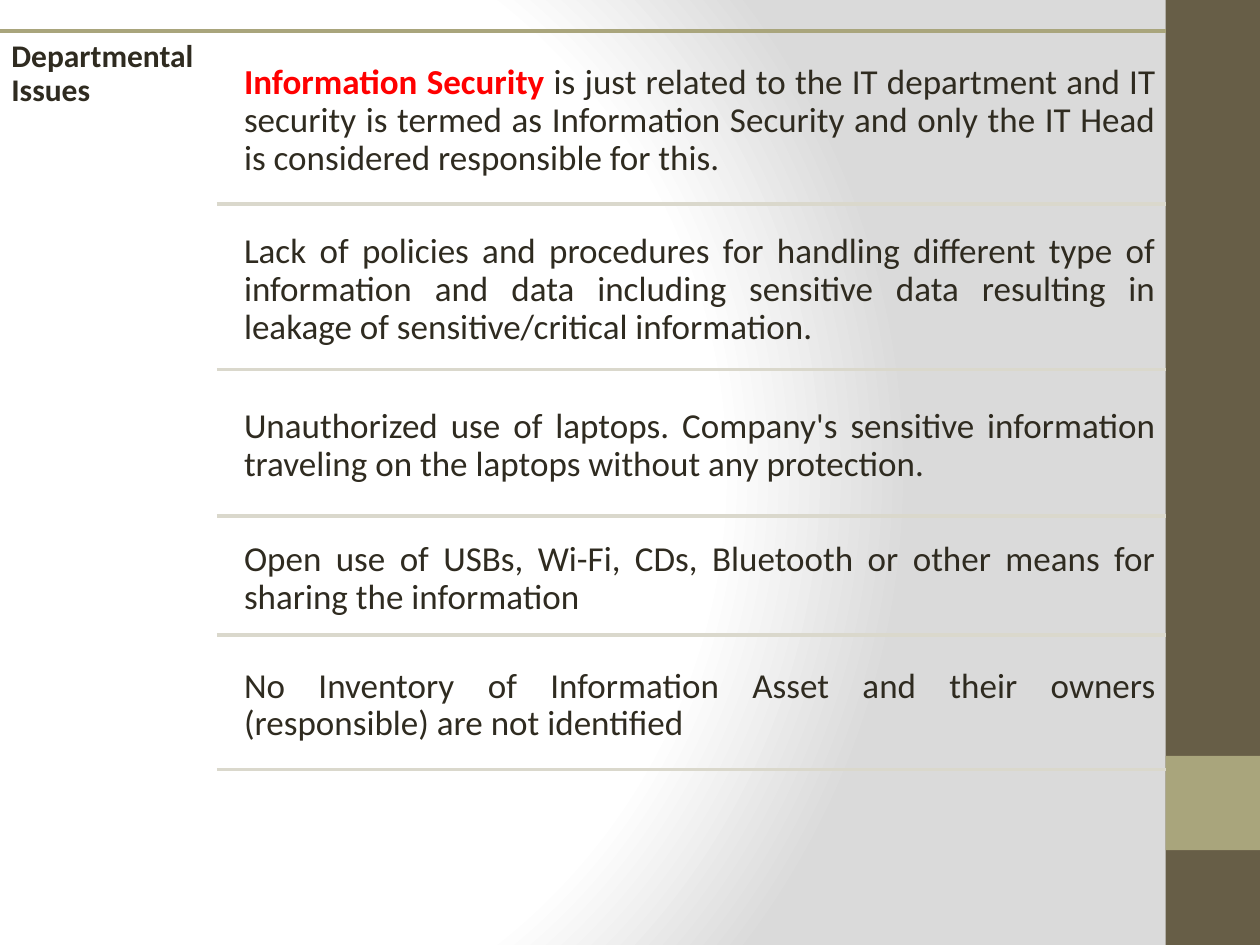
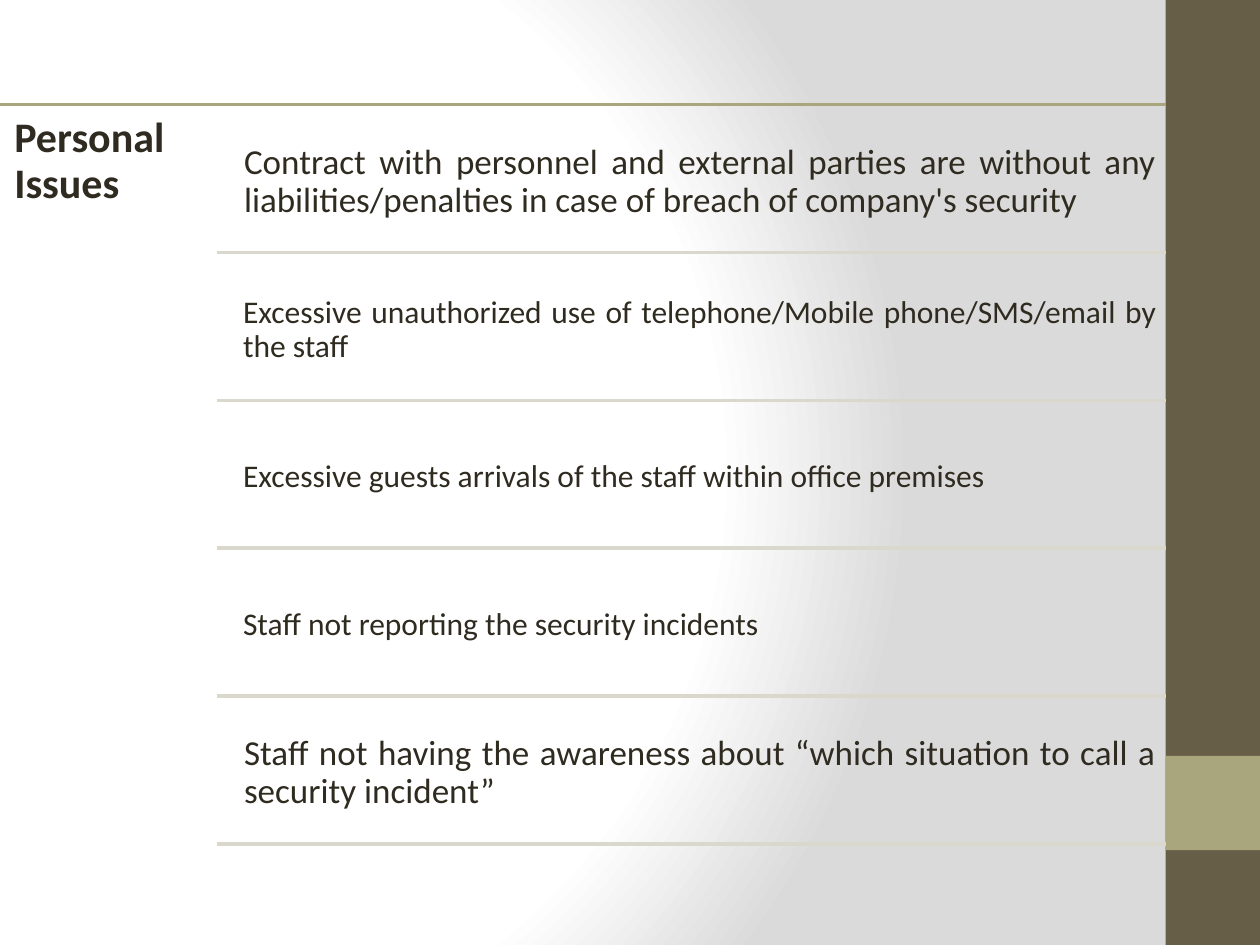
"""Builds two slides listing departmental and personal security issues."""
import dataclasses

import lxml.etree
import pptx
import pptx.dml.color
import pptx.enum.shapes
import pptx.enum.text
import pptx.oxml
import pptx.oxml.ns
import pptx.util

Cm = pptx.util.Cm


@dataclasses.dataclass(frozen=True)
class Theme:
    font: str = "Calibri"
    ink: str = "2F2B20"
    alert: str = "FF0000"
    band: str = "675E47"
    accent: str = "A9A57C"
    divider: str = "DAD8CC"
    glow: str = "FFFFFF"
    shade: str = "DADADA"
    small: int = 18
    body: int = 20
    large: int = 24
    rule_width: int = 2


class IssueDeck:
    width, height = 25.4, 19.05
    band_left = 23.5
    heading_left, heading_width, heading_height = 0.05, 4.78, 15.04
    divider_left, issue_left = 4.37, 4.72
    gap = 0.14

    def __init__(self, theme):
        self.theme = theme
        self.deck = pptx.Presentation()
        self.deck.slide_width = Cm(self.width)
        self.deck.slide_height = Cm(self.height)
        self.page = None

    def add_page(self):
        self.page = self.deck.slides.add_slide(self.deck.slide_layouts[6])
        self.add_background()
        side = self.width - self.band_left
        self.add_band(0, self.height, self.theme.band)
        self.add_band(15.24, side, self.theme.accent)

    def add_background(self):
        self.page.background.fill.solid()
        plain = self.page.element.xpath("./p:cSld/p:bg/p:bgPr/a:solidFill")[0]
        stops = "".join(
            f'<a:gs pos="{position * 1000}"><a:srgbClr val="{color}"/></a:gs>'
            for position, color in ((0, self.theme.glow), (75, self.theme.glow), (100, self.theme.shade))
        )
        gradient = pptx.oxml.parse_xml(
            f'<a:gradFill {pptx.oxml.ns.nsdecls("a")} rotWithShape="1"><a:gsLst>{stops}</a:gsLst>'
            '<a:path path="circle"><a:fillToRect l="20000" t="50000" r="100000" b="50000"/></a:path>'
            "</a:gradFill>"
        )
        plain.getparent().replace(plain, gradient)

    def add_band(self, top, height, color):
        band = self.page.shapes.add_shape(
            pptx.enum.shapes.MSO_SHAPE.RECTANGLE,
            Cm(self.band_left), Cm(top), Cm(self.width - self.band_left), Cm(height),
        )
        band.shadow.inherit = False
        band.fill.solid()
        band.fill.fore_color.rgb = pptx.dml.color.RGBColor.from_string(color)
        band.line.fill.background()

    def add_rule(self, left, top, color):
        rule = self.page.shapes.add_connector(
            pptx.enum.shapes.MSO_CONNECTOR.STRAIGHT,
            Cm(left), Cm(top), Cm(self.band_left), Cm(top),
        )
        rule.line.color.rgb = pptx.dml.color.RGBColor.from_string(color)
        rule.line.width = pptx.util.Pt(self.theme.rule_width)
        lxml.etree.SubElement(rule.element.spPr, pptx.oxml.ns.qn("a:effectLst"))

    def add_text(self, left, top, width, height, spans, size, anchor, align):
        box = self.page.shapes.add_textbox(Cm(left), Cm(top), Cm(width), Cm(height))
        frame = box.text_frame
        frame.word_wrap = True
        frame.vertical_anchor = anchor
        inset = Cm(size / 100)
        frame.margin_left = frame.margin_right = inset
        frame.margin_top = frame.margin_bottom = inset
        para = frame.paragraphs[0]
        para.alignment = align
        para.line_spacing = 0.9
        after = lxml.etree.SubElement(para._p.get_or_add_pPr(), pptx.oxml.ns.qn("a:spcAft"))
        lxml.etree.SubElement(after, pptx.oxml.ns.qn("a:spcPct"), val="35000")
        for text, color, bold in spans:
            span = para.add_run()
            span.text = text
            span.font.name = self.theme.font
            span.font.size = pptx.util.Pt(size)
            span.font.bold = bold
            span.font.color.rgb = pptx.dml.color.RGBColor.from_string(color)

    def add_issues(self, heading, heading_size, top, issues):
        self.add_page()
        self.add_rule(0, top, self.theme.accent)
        self.add_text(
            self.heading_left, top, self.heading_width, self.heading_height,
            [(heading, self.theme.ink, True)], heading_size,
            pptx.enum.text.MSO_ANCHOR.TOP, pptx.enum.text.PP_ALIGN.LEFT,
        )
        for height, size, lead, text in issues:
            spans = [(lead, self.theme.alert, True)] if lead else []
            spans.append((text, self.theme.ink, False))
            self.add_text(
                self.issue_left, top + self.gap, self.band_left - self.issue_left, height,
                spans, size, pptx.enum.text.MSO_ANCHOR.MIDDLE, pptx.enum.text.PP_ALIGN.JUSTIFY,
            )
            top += self.gap + height
            self.add_rule(self.divider_left, top, self.theme.divider)


def main():
    theme = Theme()
    show = IssueDeck(theme)
    departmental = [
        (3.34, "Information Security ",
         "is just related to the IT department and IT security is termed as Information Security "
         "and only the IT Head is considered responsible for this."),
        (3.2, "",
         "Lack of policies and procedures for handling different type of information and data "
         "including sensitive data resulting in leakage of sensitive/critical information."),
        (2.81, "",
         "Unauthorized use of laptops. Company's sensitive information traveling on the laptops "
         "without any protection."),
        (2.26, "", "Open use of USBs, Wi-Fi, CDs, Bluetooth or other means for sharing the information"),
        (2.57, "", "No Inventory of Information Asset and their owners (responsible) are not identified"),
    ]
    personal = [
        (theme.body,
         "Contract with personnel and external parties are without any liabilities/penalties "
         "in case of breach of company's security"),
        (theme.small, "Excessive unauthorized use of telephone/Mobile phone/SMS/email by the staff"),
        (theme.small, "Excessive guests arrivals of the staff within office premises"),
        (theme.small, "Staff not reporting the security incidents"),
        (theme.body, "Staff not having the awareness about “which situation to call a security incident”"),
    ]
    show.add_issues(
        "Departmental Issues", theme.small, 0.63,
        [(height, theme.body, lead, text) for height, lead, text in departmental],
    )
    show.add_issues(
        "Personal Issues", theme.large, 2.11,
        [(2.84, size, "", text) for size, text in personal],
    )
    show.deck.save("out.pptx")


if __name__ == "__main__":
    main()
